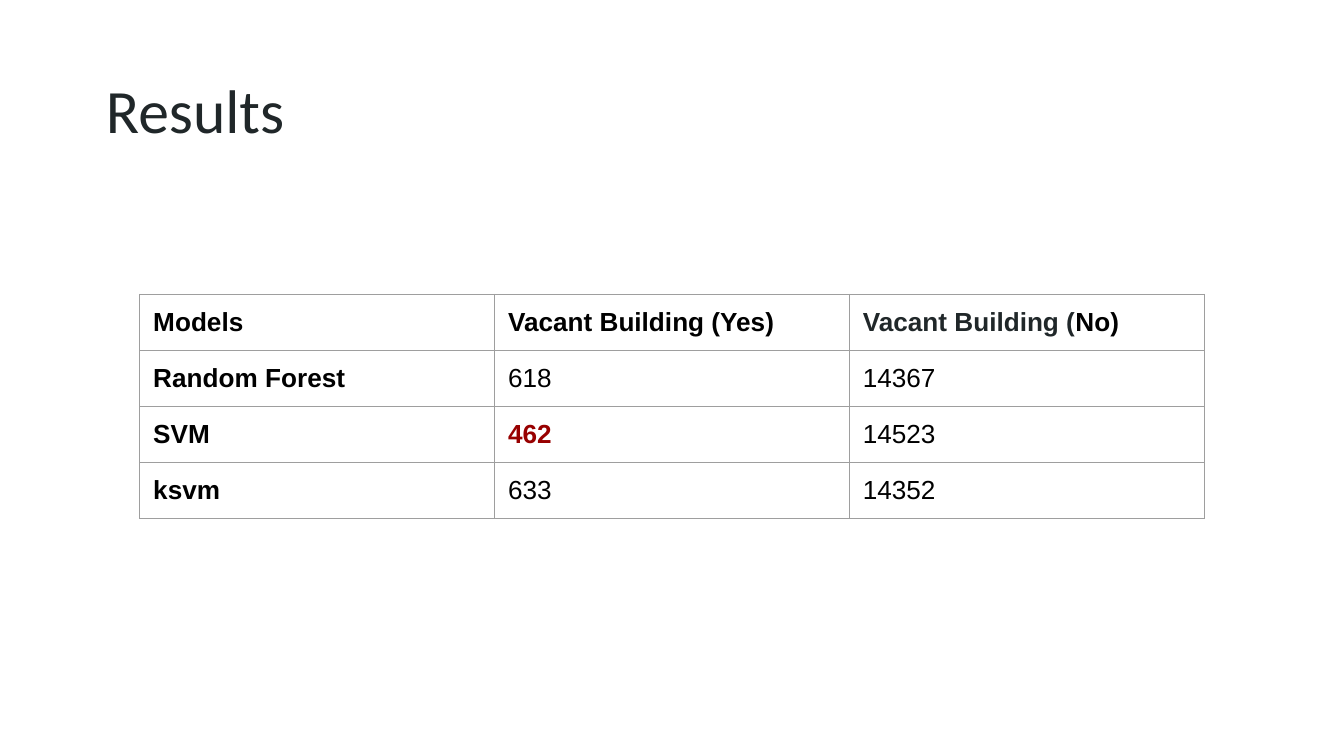
"""Build the results slide: a title above a table of model predictions."""
from lxml.etree import SubElement
from pptx import Presentation
from pptx.dml.color import RGBColor as Rgb
from pptx.enum.text import MSO_ANCHOR as Anchor
from pptx.oxml.ns import qn
from pptx.util import Inches, Pt

COLORS = {"ink": "202729", "black": "000000", "best": "980000", "border": "9E9E9E"}
TITLE = "Results"
HEADINGS = [
    [("Models", "black")],
    [("Vacant Building (Yes)", "black")],
    [("Vacant Building (", "ink"), ("No)", "black")],
]
MODELS = [("Random Forest", 618, 14367), ("SVM", 462, 14523), ("ksvm", 633, 14352)]

WIDTH = Inches(10)
HEIGHT = WIDTH * 9 // 16
LEFT, TOP = Inches(1.04), Inches(2.19)
COLUMN, ROW = Inches(2.64), Pt(30)
INSET, CELL_BOTTOM = Inches(0.1), Inches(0.08)


def add_run(paragraph, text, font, size, color, bold=False):
    run = paragraph.add_run()
    run.text = text
    run.font.name, run.font.size, run.font.bold = font, Pt(size), bold
    run.font.color.rgb = Rgb.from_string(COLORS[color])


def set_insets(holder, bottom=INSET):
    holder.margin_left = holder.margin_right = holder.margin_top = INSET
    holder.margin_bottom = bottom


def add_borders(cell):
    properties = cell._tc.get_or_add_tcPr()
    for index, side in enumerate(("lnL", "lnR", "lnT", "lnB")):
        line = properties.makeelement(qn(f"a:{side}"), {"w": str(Pt(0.75))})
        properties.insert(index, line)
        fill = SubElement(line, qn("a:solidFill"))
        SubElement(fill, qn("a:srgbClr"), val=COLORS["border"])


def add_title(slide):
    box = slide.shapes.add_textbox(Inches(0.69), Inches(0.3), Inches(8.62), Inches(1.09))
    frame = box.text_frame
    frame.word_wrap = True
    frame.vertical_anchor = Anchor.MIDDLE
    set_insets(frame)
    heading = frame.paragraphs[0]
    heading.line_spacing = 0.9
    add_run(heading, TITLE, "Calibri", 33, "ink")


def add_results(slide):
    fewest = min(yes for _, yes, _ in MODELS)
    rows = [[[(text, color, True) for text, color in heading] for heading in HEADINGS]]
    for model, yes, no in MODELS:
        best = yes == fewest
        rows.append([
            [(model, "black", True)],
            [(str(yes), "best" if best else "black", best)],
            [(str(no), "black", False)],
        ])
    row_count, column_count = len(rows), len(HEADINGS)
    results = slide.shapes.add_table(
        row_count, column_count, LEFT, TOP, COLUMN * column_count, ROW * row_count
    ).table
    results.first_row = results.horz_banding = False
    for row, entries in enumerate(rows):
        for column, runs in enumerate(entries):
            cell = results.cell(row, column)
            set_insets(cell, CELL_BOTTOM)
            cell.fill.background()
            add_borders(cell)
            for text, color, bold in runs:
                add_run(cell.text_frame.paragraphs[0], text, "Arial", 14, color, bold)


def main():
    deck = Presentation()
    deck.slide_width, deck.slide_height = WIDTH, HEIGHT
    slide = deck.slides.add_slide(deck.slide_layouts[6])
    add_title(slide)
    add_results(slide)
    deck.save("out.pptx")


if __name__ == "__main__":
    main()
